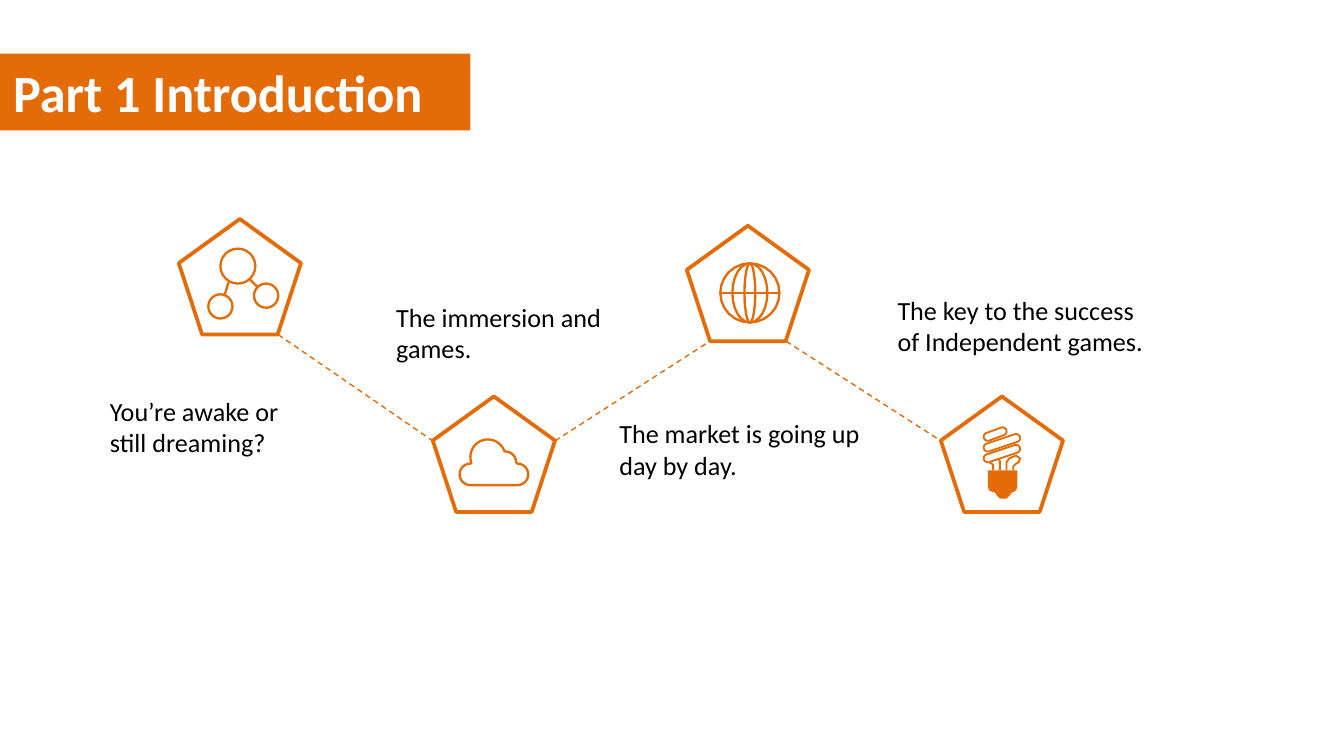
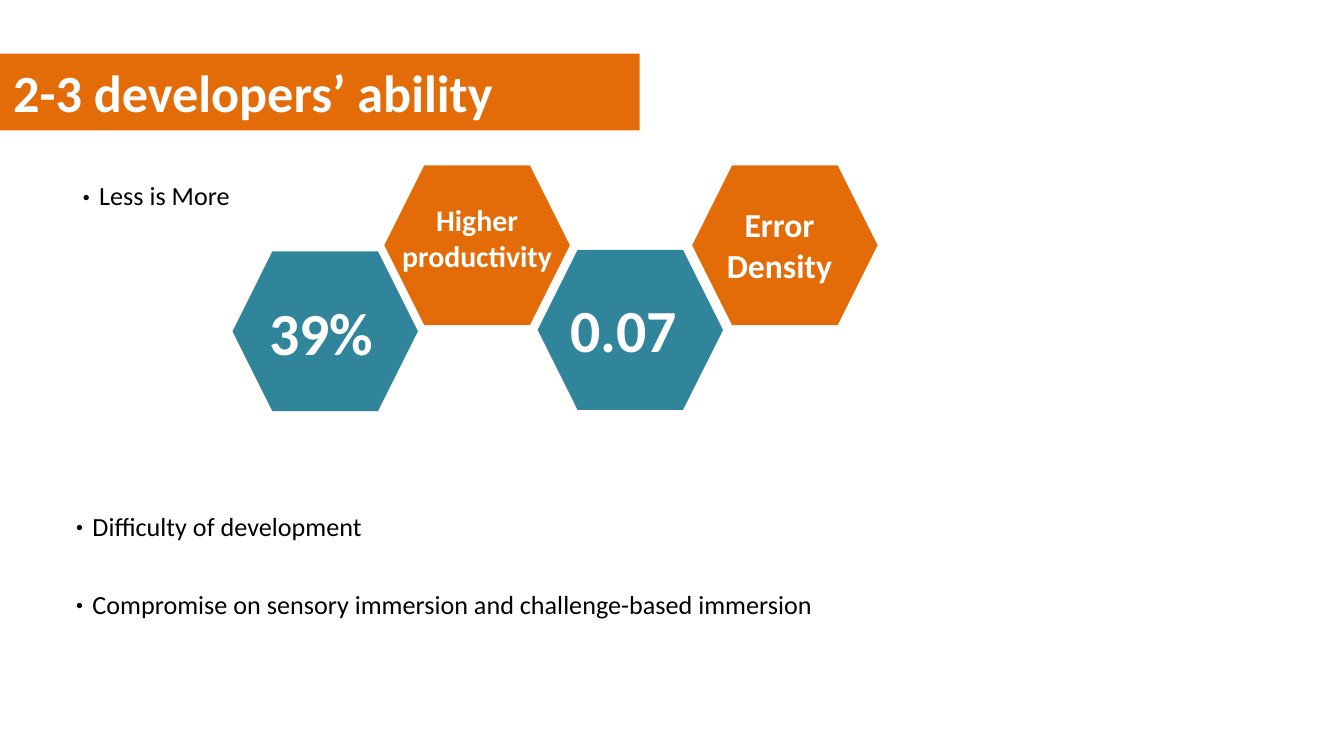
import math
from dataclasses import dataclass

import pptx
import pptx.util
from lxml import etree
from pptx.dml.color import RGBColor
from pptx.enum.dml import MSO_LINE
from pptx.enum.shapes import MSO_CONNECTOR, MSO_SHAPE
from pptx.enum.text import MSO_ANCHOR, PP_ALIGN
from pptx.oxml.ns import qn
from pptx.util import Inches, Pt


@dataclass(frozen=True)
class Theme:
    font: str = "Calibri"
    orange: RGBColor = RGBColor(0xE3, 0x6C, 0x09)
    teal: RGBColor = RGBColor(0x31, 0x85, 0x9B)
    white: RGBColor = RGBColor(0xFF, 0xFF, 0xFF)
    black: RGBColor = RGBColor(0, 0, 0)
    title_size: float = 28
    body_size: float = 14
    outline: float = 2
    icon_line: float = 1.25
    thin_line: float = 0.75


THEME = Theme()

# Slide 1: a zigzag of pentagons; captions are (left, top, lines)
PENTAGON_LEFT, PENTAGON_STEP = 1.33, 1.89
PENTAGON_WIDTH, PENTAGON_HEIGHT = 0.91, 0.86
FOOT_INSET, SHOULDER = 0.17, 0.33
PENTAGON_TOPS = [1.63, 2.95, 1.68, 2.95]
CAPTIONS = [
    (0.72, 2.89, ["You’re awake or", "still dreaming?"]),
    (2.85, 2.19, ["The immersion and games."]),
    (4.51, 3.06, ["The market is going up day by day."]),
    (6.58, 2.14, ["The key to the success of Independent games."]),
]

# Slide 2: hexagons are (left, top, colour); labels are (centre x, top, size, lines)
HEXAGON_WIDTH, HEXAGON_HEIGHT = 1.38, 1.19
HEXAGONS = [
    (2.86, 1.23, THEME.orange),
    (1.73, 1.87, THEME.teal),
    (5.15, 1.23, THEME.orange),
    (4.00, 1.86, THEME.teal),
]
LABEL_WIDTH = 1.34
LABELS = [
    (3.55, 1.45, 16, ["Higher", "productivity"]),
    (5.80, 1.47, 18, ["Error", "Density"]),
    (2.39, 2.15, 32, ["39%"]),
    (4.64, 2.13, 32, ["0.07"]),
]
BULLET_LISTS = [
    ((0.51, 1.21, 1.44, 0.44), ["Less is More"]),
    ((0.46, 3.67, 5.83, 1.01), [
        "Difficulty of development",
        "Compromise on sensory immersion and challenge-based immersion",
    ]),
]


def arc(x, y, radius_x, radius_y, start=0, end=360):
    """Points on an ellipse, angles clockwise from the right."""
    angles = [math.radians(start + (end - start) * i / 24) for i in range(25)]
    return [(x + radius_x * math.cos(a), y + radius_y * math.sin(a)) for a in angles]


def circle(x, y, radius):
    return arc(x, y, radius, radius)


def capsule(left, right, radius=0.03):
    """A closed outline around the segment from left to right."""
    tilt = math.degrees(math.atan2(right[1] - left[1], right[0] - left[0]))
    points = (arc(*left, radius, radius, tilt + 90, tilt + 270)
              + arc(*right, radius, radius, tilt - 90, tilt + 90))
    return points + points[:1]


NETWORK = [
    circle(1.77, 1.98, 0.13), circle(1.98, 2.20, 0.09), circle(1.64, 2.28, 0.09),
    [(1.86, 2.08), (1.92, 2.14)], [(1.70, 2.10), (1.67, 2.20)],
]
CLOUD = [
    arc(3.5, 3.53, 0.08, 0.08, 90, 270)
    + arc(3.63, 3.4, 0.13, 0.13, 160, 340)
    + arc(3.76, 3.44, 0.08, 0.08, 270, 360)
    + arc(3.85, 3.53, 0.08, 0.08, 270, 450)
    + [(3.5, 3.61)],
]
GLOBE = [arc(5.58, 2.18, width, 0.22) for width in (0.22, 0.13, 0.04)]
GLOBE.append([(5.36, 2.18), (5.80, 2.18)])
BULB = [
    capsule((7.35, 3.25), (7.46, 3.21)),
    capsule((7.35, 3.33), (7.56, 3.26)),
    capsule((7.35, 3.41), (7.56, 3.34)),
    [(7.36, 3.44), (7.38, 3.45), (7.39, 3.46), (7.39, 3.5)],
    [(7.42, 3.41), (7.44, 3.43), (7.44, 3.5)],
    [(7.49, 3.5), (7.49, 3.44), (7.51, 3.41), (7.56, 3.39), (7.59, 3.41),
     (7.58, 3.44), (7.56, 3.45), (7.54, 3.47), (7.54, 3.5)],
]
BULB_BASE = [[
    (7.35, 3.5), (7.57, 3.5), (7.57, 3.62), (7.56, 3.65), (7.52, 3.67), (7.52, 3.68),
    (7.49, 3.71), (7.44, 3.71), (7.41, 3.68), (7.41, 3.67), (7.36, 3.65), (7.35, 3.62),
    (7.35, 3.5),
]]


def paint(shape, fill=None, line=None, width=THEME.outline):
    shape.shadow.inherit = False
    if fill is None:
        shape.fill.background()
    else:
        shape.fill.solid()
        shape.fill.fore_color.rgb = fill
    if line is None:
        shape.line.fill.background()
    else:
        shape.line.color.rgb = line
        shape.line.width = Pt(width)


def add_preset(slide, preset, left, top, width, height, **style):
    shape = slide.shapes.add_shape(
        preset, Inches(left), Inches(top), Inches(width), Inches(height))
    paint(shape, **style)
    return shape


def add_icon(slide, contours, **style):
    contours = [[(Inches(x), Inches(y)) for x, y in points] for points in contours]
    builder = slide.shapes.build_freeform(*contours[0][0])
    for index, points in enumerate(contours):
        if index:
            builder.move_to(*points[0])
        builder.add_line_segments(points[1:], close=False)
    paint(builder.convert_to_shape(), **style)


def write(shape, lines, size, color, bold=False, align=PP_ALIGN.LEFT, wrap=True):
    frame = shape.text_frame
    frame.word_wrap = wrap
    frame.vertical_anchor = MSO_ANCHOR.TOP
    frame.text = "\n".join(lines)
    for paragraph in frame.paragraphs:
        paragraph.alignment = align
        font = paragraph.font
        font.name, font.size, font.bold = THEME.font, Pt(size), bold
        font.color.rgb = color
    return frame.paragraphs


def add_text(slide, left, top, width, height, lines, size, color, **style):
    box = slide.shapes.add_textbox(
        Inches(left), Inches(top), Inches(width), Inches(height))
    return write(box, lines, size, color, **style)


def add_titled_slide(presentation, title, band_width):
    slide = presentation.slides.add_slide(presentation.slide_layouts[6])
    place = (0, 0.4, band_width, 0.57)
    add_preset(slide, MSO_SHAPE.RECTANGLE, *place, fill=THEME.orange)
    add_text(slide, *place, [title], THEME.title_size, THEME.white, bold=True)
    return slide


def add_dashed_line(slide, start, end):
    line = slide.shapes.add_connector(
        MSO_CONNECTOR.STRAIGHT, *map(Inches, start), *map(Inches, end))
    line.line.color.rgb = THEME.orange
    line.line.width = Pt(THEME.thin_line)
    line.line.dash_style = MSO_LINE.DASH
    etree.SubElement(line._element.spPr, qn("a:effectLst"))


def add_bullets(slide, place, lines):
    paragraphs = add_text(slide, *place, lines, THEME.body_size, THEME.black)
    for index, paragraph in enumerate(paragraphs):
        paragraph.line_spacing = Pt(22.5)
        paragraph.space_before = Pt(19 if index else 0)
        properties = paragraph._p.get_or_add_pPr()
        properties.set("marL", str(Inches(0.13)))
        properties.set("indent", str(-Inches(0.13)))
        size = etree.Element(qn("a:buSzPct"), val="143000")
        font = etree.Element(qn("a:buFont"), typeface=THEME.font)
        mark = etree.Element(qn("a:buChar"), char="·")
        defaults = properties.find(qn("a:defRPr"))
        for element in (size, font, mark):
            defaults.addprevious(element)


def build_introduction(presentation):
    slide = add_titled_slide(presentation, "Part 1 Introduction", 3.5)
    corners = [(PENTAGON_LEFT + i * PENTAGON_STEP, top)
               for i, top in enumerate(PENTAGON_TOPS)]
    for left, top in corners:
        add_preset(slide, MSO_SHAPE.REGULAR_PENTAGON, left, top,
                   PENTAGON_WIDTH, PENTAGON_HEIGHT, line=THEME.orange)
    for icon, width in ((NETWORK, THEME.icon_line), (CLOUD, THEME.icon_line),
                        (GLOBE, THEME.icon_line), (BULB, 1)):
        add_icon(slide, icon, line=THEME.orange, width=width)
    add_icon(slide, BULB_BASE, fill=THEME.orange)

    for (left, top), (next_left, next_top) in zip(corners, corners[1:]):
        if top < next_top:
            start = (left + PENTAGON_WIDTH - FOOT_INSET, top + PENTAGON_HEIGHT)
            end = (next_left, next_top + SHOULDER)
        else:
            start = (left + PENTAGON_WIDTH, top + SHOULDER)
            end = (next_left + FOOT_INSET, next_top + PENTAGON_HEIGHT)
        add_dashed_line(slide, start, end)
    for left, top, lines in CAPTIONS:
        add_text(slide, left, top, 2.13, 0.57, lines, THEME.body_size, THEME.black)


def build_ability(presentation):
    slide = add_titled_slide(presentation, "2-3 developers’ ability", 4.76)
    for left, top, color in HEXAGONS:
        add_preset(slide, MSO_SHAPE.HEXAGON, left, top,
                   HEXAGON_WIDTH, HEXAGON_HEIGHT, fill=color)
    for center, top, size, lines in LABELS:
        add_text(slide, center - LABEL_WIDTH / 2, top, LABEL_WIDTH, 0.64, lines, size,
                 THEME.white, bold=True, align=PP_ALIGN.CENTER, wrap=False)
    for place, lines in BULLET_LISTS:
        add_bullets(slide, place, lines)


def main():
    presentation = pptx.Presentation()
    presentation.slide_width = Inches(10)
    presentation.slide_height = presentation.slide_width * 9 // 16
    build_introduction(presentation)
    build_ability(presentation)
    presentation.save("out.pptx")


if __name__ == "__main__":
    main()
